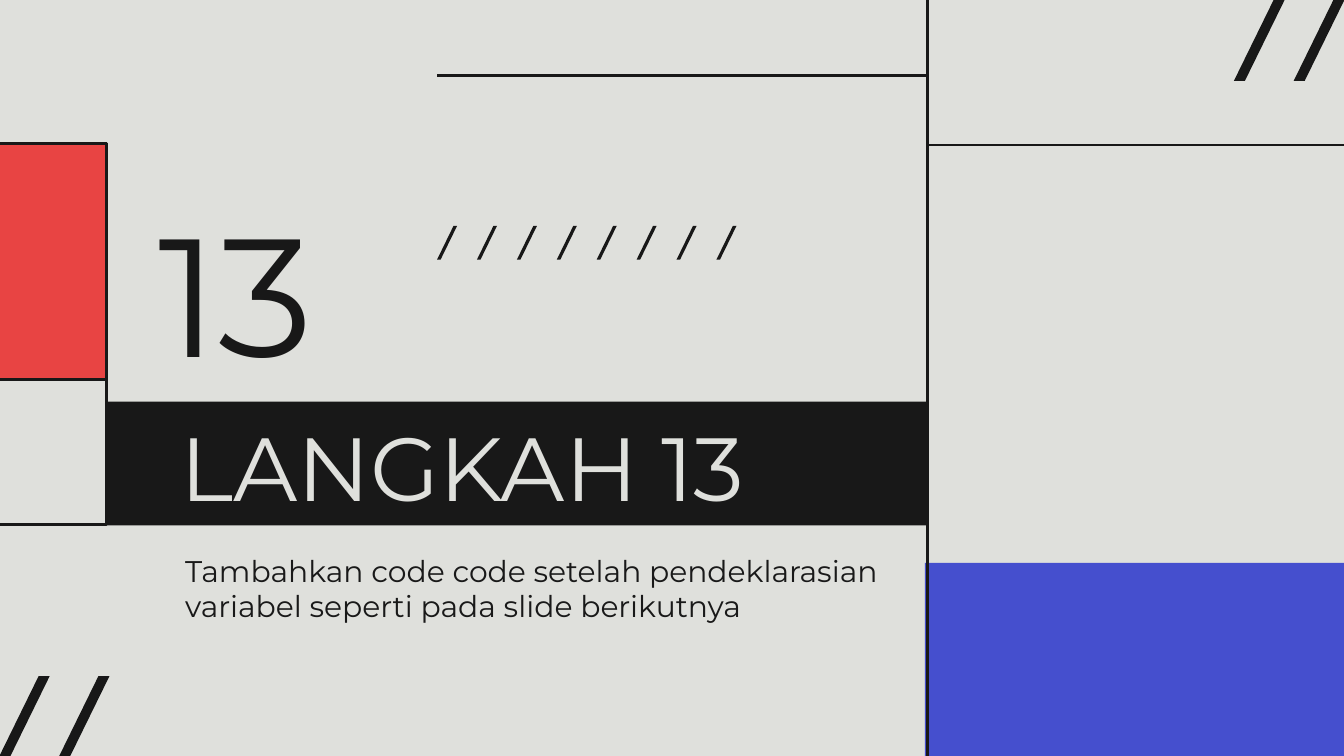
from lxml.etree import SubElement
from pptx import Presentation
from pptx.dml.color import RGBColor
from pptx.enum.shapes import MSO_CONNECTOR, MSO_SHAPE
from pptx.enum.text import MSO_ANCHOR, MSO_AUTO_SIZE, PP_ALIGN
from pptx.oxml.ns import qn
from pptx.util import Cm, Pt

COLORS = {
    "paper": "DFE0DC",
    "ink": "181818",
    "body": "191919",
    "red": "E84443",
    "blue": "454FCE",
}


class SlideBuilder:
    """Holds the style and the current slide; positions are in cm."""

    font = "Montserrat"
    line_width = Pt(1.5)
    slant = 0.822

    def __init__(self, s):
        self.s = s

    def color(self, name):
        return RGBColor.from_string(COLORS[name])

    def background(self, name):
        self.fill(self.s.background, name)

    def fill(self, target, name):
        target.fill.solid()
        target.fill.fore_color.rgb = self.color(name)

    def shape(self, kind, box, fill=None, outlined=False):
        sp = self.s.shapes.add_shape(kind, *map(Cm, box))
        sp.shadow.inherit = False
        if fill:
            self.fill(sp, fill)
        else:
            sp.fill.background()
        if outlined:
            sp.line.color.rgb = self.color("ink")
            sp.line.width = self.line_width
        else:
            sp.line.fill.background()
        return sp

    def rect(self, box, fill=None, outlined=False):
        return self.shape(MSO_SHAPE.RECTANGLE, box, fill, outlined)

    def slashes(self, left, top, width, height, count, pitch):
        """Draw a row of evenly spaced slanted strokes."""
        for i in range(count):
            box = (left + i * pitch, top, width, height)
            sp = self.shape(MSO_SHAPE.PARALLELOGRAM, box, "ink")
            sp.adjustments[0] = self.slant

    def line(self, x1, y1, x2, y2):
        cn = self.s.shapes.add_connector(
            MSO_CONNECTOR.STRAIGHT, Cm(x1), Cm(y1), Cm(x2), Cm(y2))
        cn.line.color.rgb = self.color("ink")
        cn.line.width = self.line_width
        SubElement(cn._element.spPr, qn("a:effectLst"))

    def text(self, sp, text, size, color, anchor=MSO_ANCHOR.TOP,
             insets=(0.25, 0.25, 0.25, 0.25)):
        tf = sp.text_frame
        tf.word_wrap = True
        tf.auto_size = MSO_AUTO_SIZE.NONE
        tf.vertical_anchor = anchor
        (tf.margin_left, tf.margin_top,
         tf.margin_right, tf.margin_bottom) = map(Cm, insets)
        p = tf.paragraphs[0]
        p.text = text
        p.alignment = PP_ALIGN.LEFT
        p.space_before = Pt(0)
        p.font.name = self.font
        p.font.size = Pt(size)
        p.font.color.rgb = self.color(color)

    def placeholder(self, idx, box, *args, **style):
        sp = self.s.placeholders[idx]
        sp.left, sp.top, sp.width, sp.height = map(Cm, box)
        self.text(sp, *args, **style)
        return sp

    def textbox(self, box, *args, **style):
        self.text(self.s.shapes.add_textbox(*map(Cm, box)), *args, **style)


def main():
    prs = Presentation()
    prs.slide_width, prs.slide_height = Cm(25.4), Cm(14.29)
    b = SlideBuilder(prs.slides.add_slide(prs.slide_layouts[0]))
    b.background("paper")

    # Left column and corner strokes
    b.rect((-0.1, 2.72, 2.11, 4.45), "red", outlined=True)
    b.rect((-0.1, 2.72, 2.11, 7.19), outlined=True)
    for left, top in ((-0.23, 12.78), (23.32, -0.43)):
        b.slashes(left, top, 1.17, 1.96, count=2, pitch=1.13)

    # Right column
    b.rect((17.48, 10.64, 7.92, 3.94), "blue")
    b.rect((17.53, 2.74, 7.92, 11.79), outlined=True)

    # Heading, number and description
    title = b.placeholder(0, (2.01, 7.59, 15.52, 2.34), "LANGKAH 13", 48,
                          "paper", anchor=MSO_ANCHOR.MIDDLE,
                          insets=(1.4, 0.33, 0.25, 0.25))
    b.fill(title, "ink")
    b.textbox((2.74, 3.33, 5.51, 3.86), "13", 90, "ink")
    b.placeholder(1, (3.25, 10.19, 13.89, 1.37),
                  "Tambahkan code code setelah pendeklarasian variabel "
                  "seperti pada slide berikutnya", 16, "body")

    # Rules and the row of small strokes
    b.line(17.53, -0.03, 17.53, 6.43)
    b.line(8.26, 1.42, 17.55, 1.42)
    b.slashes(8.26, 4.27, 0.38, 0.64, count=8, pitch=5.28 / 7)

    prs.save("out.pptx")


if __name__ == "__main__":
    main()
